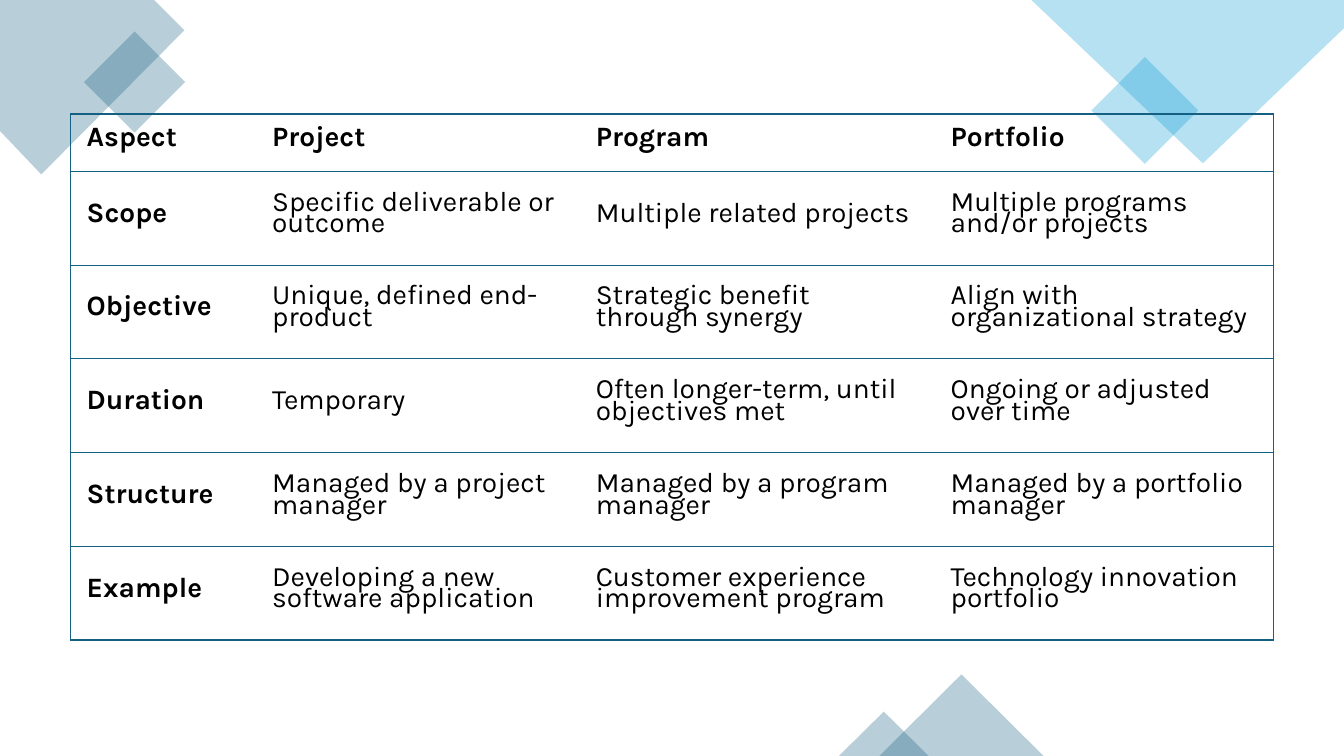
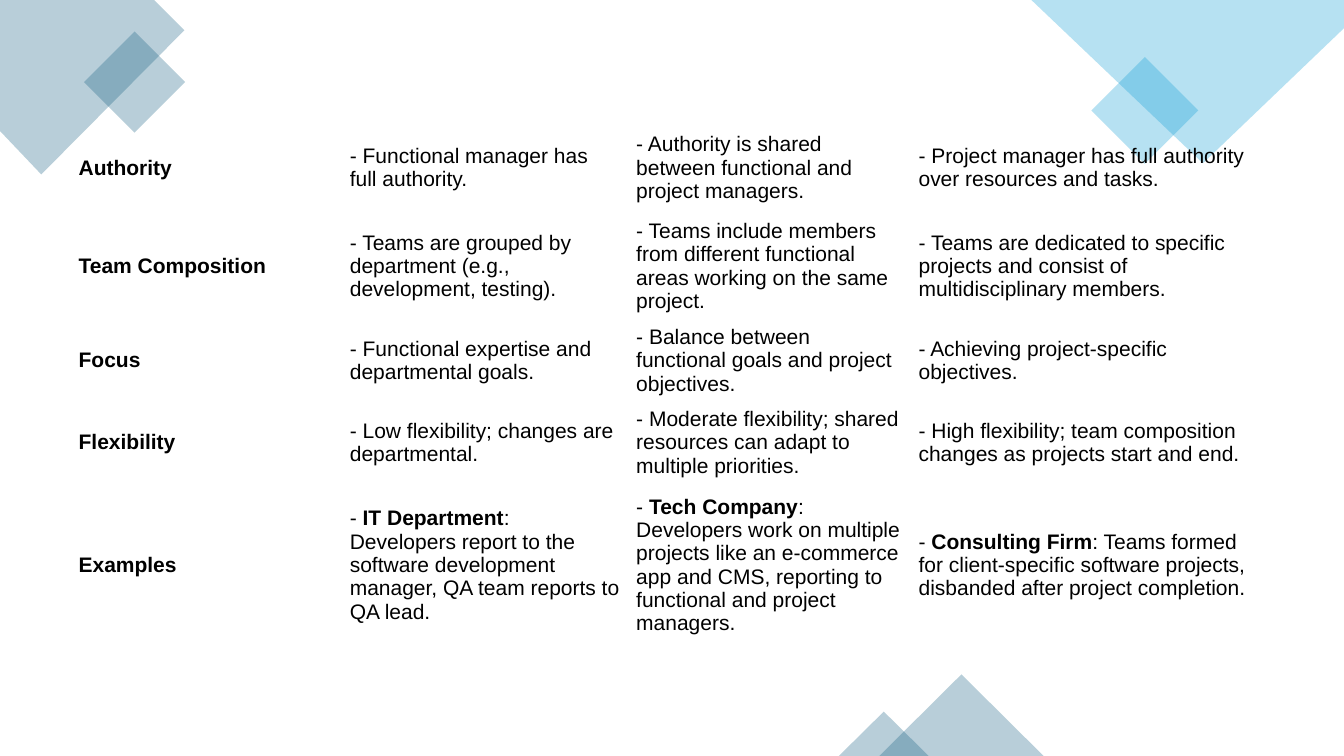
from lxml import etree
from pptx import Presentation
from pptx.dml.color import RGBColor
from pptx.enum.shapes import MSO_SHAPE
from pptx.enum.text import MSO_ANCHOR
from pptx.oxml.ns import qn
from pptx.util import Inches, Pt

RECTANGLE = MSO_SHAPE.RECTANGLE
TRIANGLE = MSO_SHAPE.ISOSCELES_TRIANGLE
MIDDLE = MSO_ANCHOR.MIDDLE

TEAL, SKY, BLACK = "156082", "0F9ED5", "000000"
OPACITY = 30
PLAIN_TABLE = "{2D5ABB26-0587-4C30-8999-92F81FD0307C}"
TABLE_LEFT = 5.25

COMPARISON = {
    "top": 15.07,
    "columns": [13.8, 24.08, 26.41, 25.21],
    "rows": [7.6] + [12.4] * 5,
    "font": {"name": "Karla", "size": Pt(20)},
    "paragraph": {"line_spacing": Pt(15.6), "space_after": Pt(8)},
    "insets": (0.16, 0.08),
    "header": True,
    "border": TEAL,
    "cells": [
        ["Aspect", "Project", "Program", "Portfolio"],
        ["Scope", "Specific deliverable or outcome", "Multiple related projects",
         "Multiple programs and/or projects"],
        ["Objective", "Unique, defined end-product", "Strategic benefit through synergy",
         "Align with organizational strategy"],
        ["Duration", "Temporary", "Often longer-term, until objectives met",
         "Ongoing or adjusted over time"],
        ["Structure", "Managed by a project manager", "Managed by a program manager",
         "Managed by a portfolio manager"],
        ["Example", "Developing a new software application",
         "Customer experience improvement program", "Technology innovation portfolio"],
    ],
}

ORGANIZATION = {
    "top": 16.53,
    "columns": [20.18, 21.31, 21.01, 26.93],
    "rows": [11.33, 14.67, 8.13, 11.33, 21.2],
    "font": {"name": "Arial", "size": Pt(15)},
    "paragraph": {},
    "insets": (0.08, 0.04),
    "header": False,
    "border": None,
    "cells": [
        ["Authority", "- Functional manager has full authority.",
         "- Authority is shared between functional and project managers.",
         "- Project manager has full authority over resources and tasks."],
        ["Team Composition", "- Teams are grouped by department (e.g., development, testing).",
         "- Teams include members from different functional areas working on the same project.",
         "- Teams are dedicated to specific projects and consist of multidisciplinary members."],
        ["Focus", "- Functional expertise and departmental goals.",
         "- Balance between functional goals and project objectives.",
         "- Achieving project-specific objectives."],
        ["Flexibility", "- Low flexibility; changes are departmental.",
         "- Moderate flexibility; shared resources can adapt to multiple priorities.",
         "- High flexibility; team composition changes as projects start and end."],
        ["Examples",
         "- **IT Department**: Developers report to the software development manager, "
         "QA team reports to QA lead.",
         "- **Tech Company**: Developers work on multiple projects like an e-commerce app "
         "and CMS, reporting to functional and project managers.",
         "- **Consulting Firm**: Teams formed for client-specific software projects, "
         "disbanded after project completion."],
    ],
}


def color(value):
    """Turn a hex string into a colour."""
    return RGBColor.from_string(value)


def apply(target, values):
    """Set every named attribute on the target."""
    for name, value in values.items():
        setattr(target, name, value)


class Deck:
    """Hold the presentation, its style and the current page, with lengths in percent."""

    def __init__(self):
        """Start a wide presentation."""
        self.deck = Presentation()
        apply(self.deck, {"slide_width": Inches(13.33), "slide_height": Inches(7.5)})
        self.page = None

    def across(self, share):
        """Convert a share of the slide width."""
        return round(self.deck.slide_width * share / 100)

    def down(self, share):
        """Convert a share of the slide height."""
        return round(self.deck.slide_height * share / 100)

    def add_page(self):
        """Add a page with the shared corner decoration."""
        self.page = self.deck.slides.add_slide(self.deck.slide_layouts[6])
        self.polygon([(0, 0), (11.47, 0), (13.72, 4), (3.07, 23.07), (0, 17.33)], TEAL)
        self.shape(RECTANGLE, 7.35, 6.13, 5.33, 9.47, TEAL, 315)
        self.shape(RECTANGLE, 82.37, 9.6, 5.63, 10, SKY, 315)
        self.polygon([(76.74, 0), (100, 0), (100, 3.73), (89.5, 21.6)], SKY)
        self.shape(TRIANGLE, 65.42, 89.2, 12.23, 10.8, TEAL)
        self.shape(TRIANGLE, 62.42, 94.13, 6.68, 5.87, TEAL)

    def tint(self, shape, fill):
        """Give a shape a translucent fill without line or shadow."""
        shape.shadow.inherit = False
        shape.fill.solid()
        shape.fill.fore_color.rgb = color(fill)
        shade = shape._element.spPr.find(".//" + qn("a:srgbClr"))
        etree.SubElement(shade, qn("a:alpha"), val=str(OPACITY * 1000))
        shape.line.fill.background()

    def shape(self, kind, left, top, width, height, fill, rotation=0):
        """Add a translucent preset shape."""
        shape = self.page.shapes.add_shape(
            kind, self.across(left), self.down(top), self.across(width), self.down(height))
        shape.rotation = rotation
        self.tint(shape, fill)

    def polygon(self, corners, fill):
        """Add a translucent closed outline."""
        points = [(self.across(x), self.down(y)) for x, y in corners]
        builder = self.page.shapes.build_freeform(*points[0])
        builder.add_line_segments(points[1:])
        self.tint(builder.convert_to_shape(), fill)

    def table(self, content):
        """Add a table described by its style and cell texts."""
        columns, rows = content["columns"], content["rows"]
        table = self.page.shapes.add_table(
            len(rows), len(columns), self.across(TABLE_LEFT), self.down(content["top"]),
            self.across(sum(columns)), self.down(sum(rows))).table
        apply(table, {"first_row": content["header"], "horz_banding": False})
        table._tbl.tblPr.find(qn("a:tableStyleId")).text = PLAIN_TABLE
        for column, share in zip(table.columns, columns):
            column.width = self.across(share)
        for row, share in zip(table.rows, rows):
            row.height = self.down(share)
        for row, texts in enumerate(content["cells"]):
            for column, text in enumerate(texts):
                cell = table.cell(row, column)
                bold = column == 0 or (content["header"] and row == 0)
                self.cell(cell, text, bold, content)
                if content["border"]:
                    sides = (["L"] if column == 0 else []) + (
                        ["R"] if column == len(columns) - 1 else []) + ["T", "B"]
                    self.border(cell, sides, content["border"])

    def cell(self, cell, text, bold, content):
        """Fill a cell, with double stars around bold words."""
        side, end = (Inches(inset) for inset in content["insets"])
        apply(cell, {"margin_left": side, "margin_right": side, "margin_top": end,
                     "margin_bottom": end, "vertical_anchor": MIDDLE})
        cell.fill.background()
        para = cell.text_frame.paragraphs[0]
        apply(para, content["paragraph"])
        for index, words in enumerate(text.split("**")):
            span = para.add_run()
            span.text = words
            apply(span.font, {**content["font"], "bold": bold or index % 2 == 1})
            span.font.color.rgb = color(BLACK)

    def border(self, cell, sides, line_color):
        """Draw one-point lines on the given sides of a cell."""
        properties = cell._tc.get_or_add_tcPr()
        for index, side in enumerate(sides):
            line = etree.Element(qn("a:ln" + side), w=str(Pt(1)))
            fill = etree.SubElement(line, qn("a:solidFill"))
            etree.SubElement(fill, qn("a:srgbClr"), val=str(color(line_color)))
            properties.insert(index, line)


def main():
    """Build and save both pages."""
    slides = Deck()
    for content in (COMPARISON, ORGANIZATION):
        slides.add_page()
        slides.table(content)
    slides.deck.save("out.pptx")


if __name__ == "__main__":
    main()
